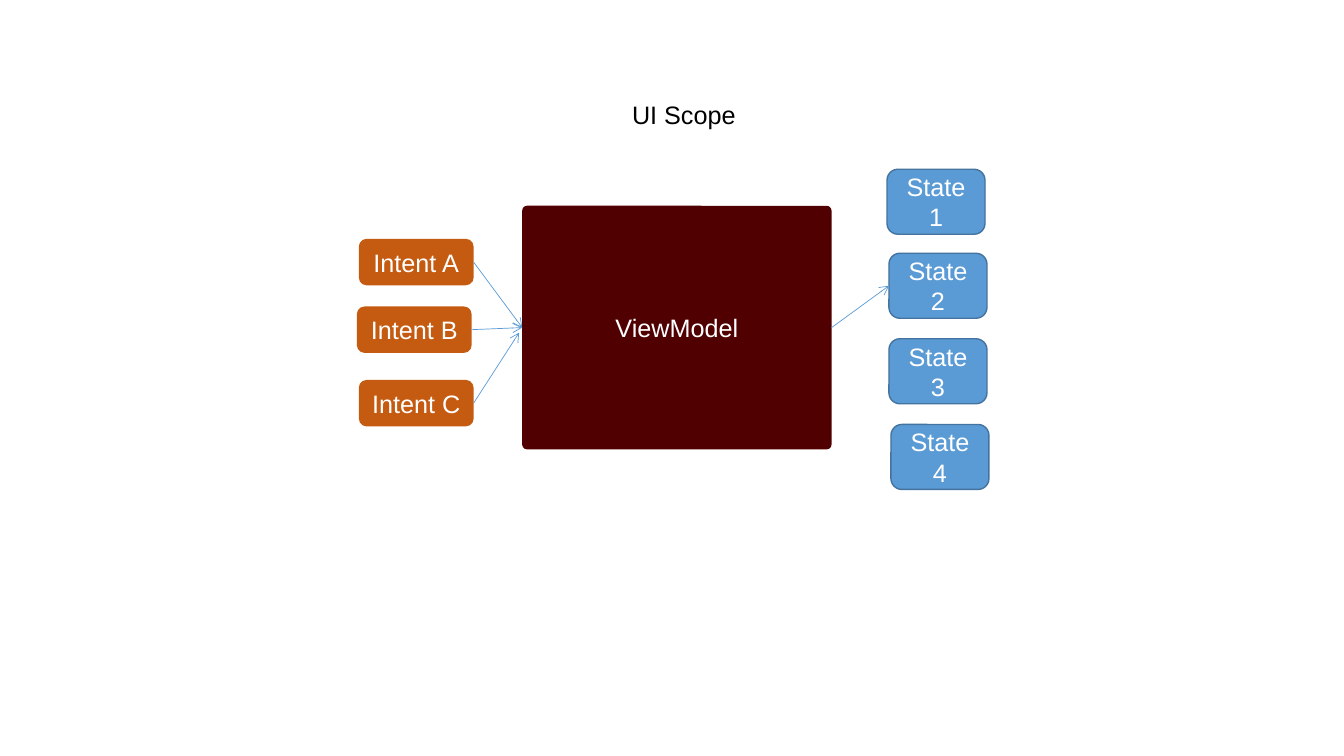
from lxml.etree import SubElement as Sub
from pptx import Presentation
from pptx.dml.color import RGBColor as RGB
from pptx.enum.shapes import MSO_CONNECTOR as CONN, MSO_SHAPE as SHAPE
from pptx.enum.text import MSO_ANCHOR as ANCHOR, MSO_AUTO_SIZE as FIT, PP_ALIGN as ALIGN
from pptx.oxml.ns import qn
from pptx.util import Pt

WHITE = RGB(0xFF, 0xFF, 0xFF)
BLACK = RGB(0, 0, 0)
MAROON = RGB(0x50, 0, 0)
ORANGE = RGB(0xC5, 0x5A, 0x11)
BLUE = RGB(0x5B, 0x9B, 0xD5)
NAVY = RGB(0x43, 0x73, 0x9E)
LEFT, RIGHT = 1, 3


class Board:
    """Holds the text style and the current slide, and draws its elements."""

    def __init__(self, slide, font="Arial", size=18):
        self.slide, self.font, self.size = slide, font, size

    def label(self, frame, text, color, anchor):
        frame.word_wrap = True
        frame.vertical_anchor = anchor
        para = frame.paragraphs[0]
        para.alignment = ALIGN.CENTER
        run = para.add_run()
        run.text = text
        run.font.name = self.font
        run.font.size = Pt(self.size)
        run.font.color.rgb = color

    def title(self, text, x, y, w, h):
        head = self.slide.shapes.title
        head.left, head.top, head.width, head.height = Pt(x), Pt(y), Pt(w), Pt(h)
        self.label(head.text_frame, text, BLACK, ANCHOR.TOP)
        head.text_frame.auto_size = FIT.SHAPE_TO_FIT_TEXT

    def box(self, text, x, y, w, h, fill, edge=None, bend=None):
        box = self.slide.shapes.add_shape(SHAPE.ROUNDED_RECTANGLE, Pt(x), Pt(y), Pt(w), Pt(h))
        box.shadow.inherit = False
        box.fill.solid()
        box.fill.fore_color.rgb = fill
        if edge is None:
            box.line.fill.background()
        else:
            box.line.color.rgb = edge
            box.line.width = Pt(1)
        if bend is not None:
            box.adjustments[0] = bend
        self.label(box.text_frame, text, WHITE, ANCHOR.MIDDLE)
        return box

    def arrow(self, start, end=None, spot=(0, 0)):
        line = self.slide.shapes.add_connector(CONN.STRAIGHT, 0, 0, Pt(spot[0]), Pt(spot[1]))
        line.begin_connect(start, RIGHT)
        if end is not None:
            line.end_connect(end, LEFT)
        line.line.color.rgb = BLUE
        line.line.width = Pt(0.5)
        edge = line._element.spPr.find(qn("a:ln"))
        Sub(edge, qn("a:tailEnd"), type="arrow")
        Sub(line._element.spPr, qn("a:effectLst"))


def main():
    deck = Presentation()
    deck.slide_width, deck.slide_height = Pt(960), Pt(540)
    board = Board(deck.slides.add_slide(deck.slide_layouts[5]))
    board.title("UI Scope", 430.5, 67, 116, 29)

    model = board.box("ViewModel", 373, 147, 221, 174, MAROON, bend=0.02)

    spots = (("A", 256.3, 170.6), ("B", 254.9, 218.9), ("C", 256.3, 271.4))
    intents = [board.box(f"Intent {name}", x, y, 82, 33.2, ORANGE) for name, x, y in spots]
    for intent in intents[:2]:
        board.arrow(intent, model)
    board.arrow(intents[2], spot=(370.8, 237.6))

    spots = ((633.6, 120.9), (635, 180.9), (635, 242), (636.4, 303.2))
    states = [board.box(f"State {n}", x, y, 70, 46.4, BLUE, NAVY)
              for n, (x, y) in enumerate(spots, 1)]
    board.arrow(model, states[1])

    deck.save("out.pptx")


if __name__ == "__main__":
    main()
